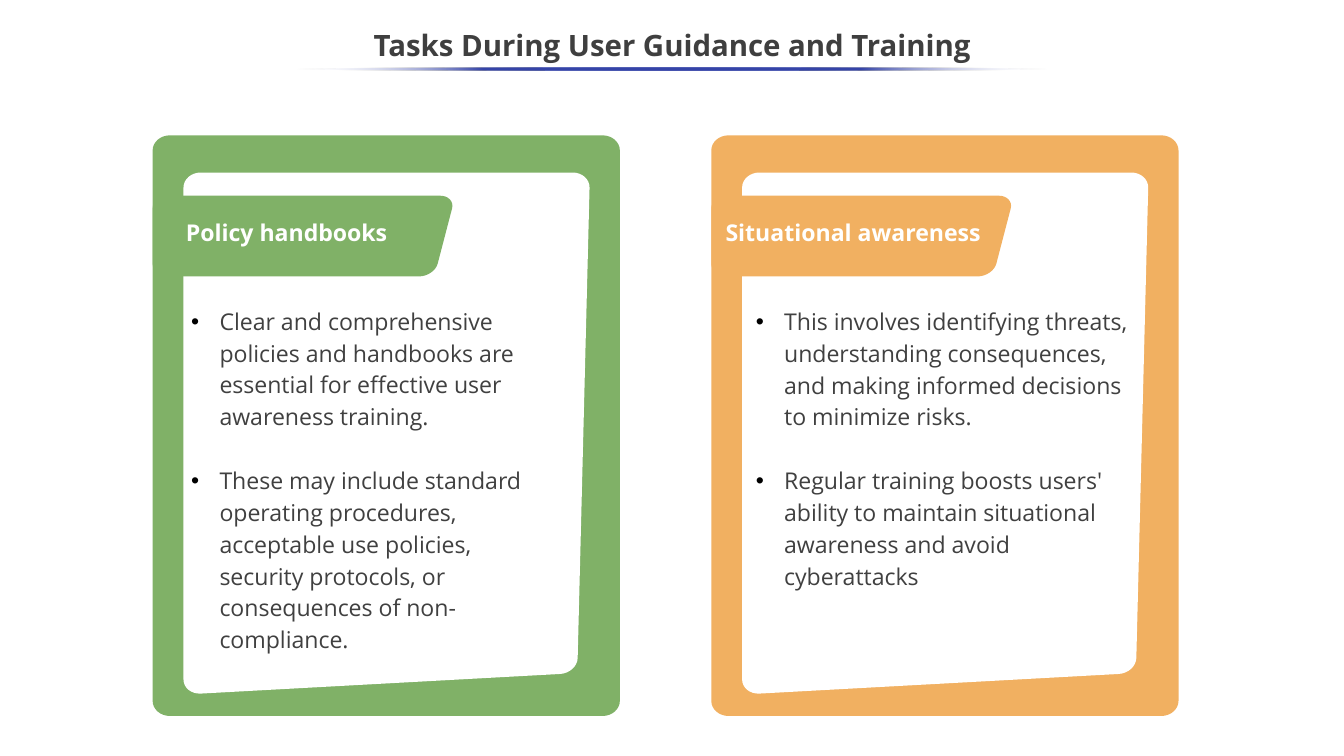
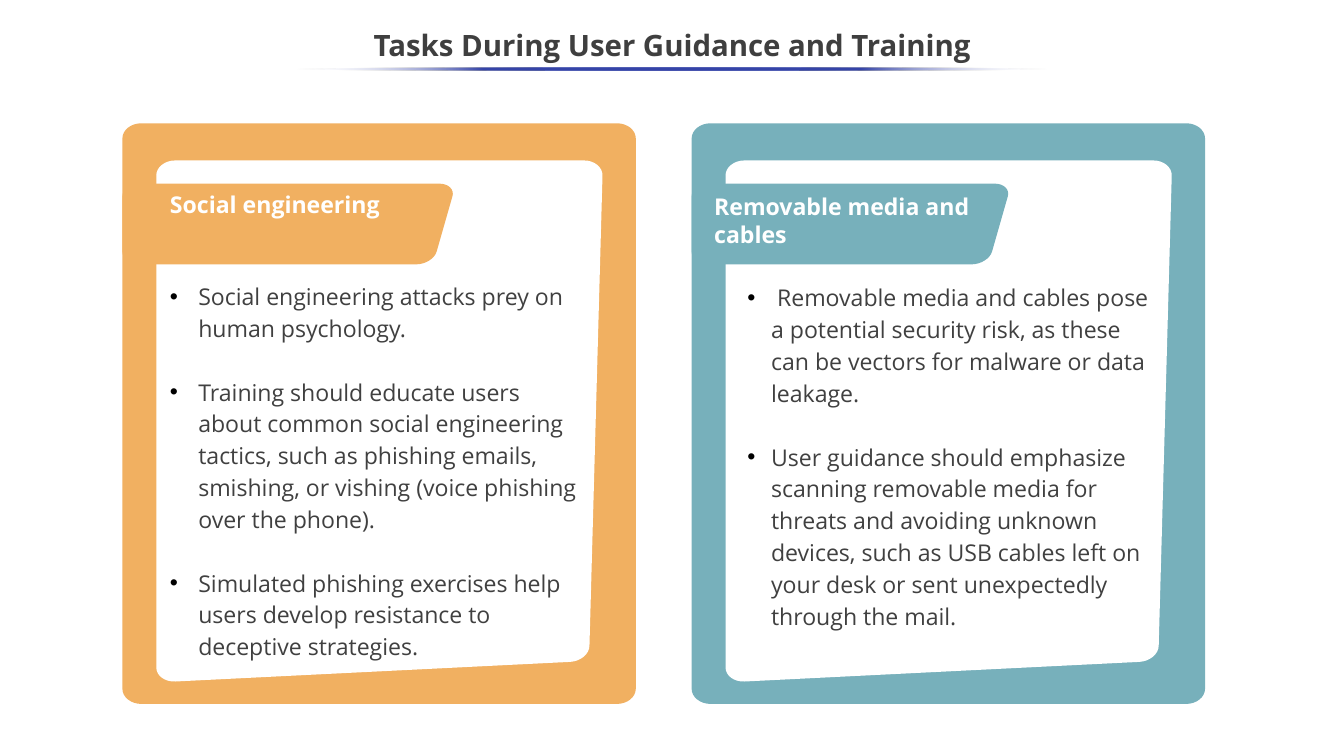
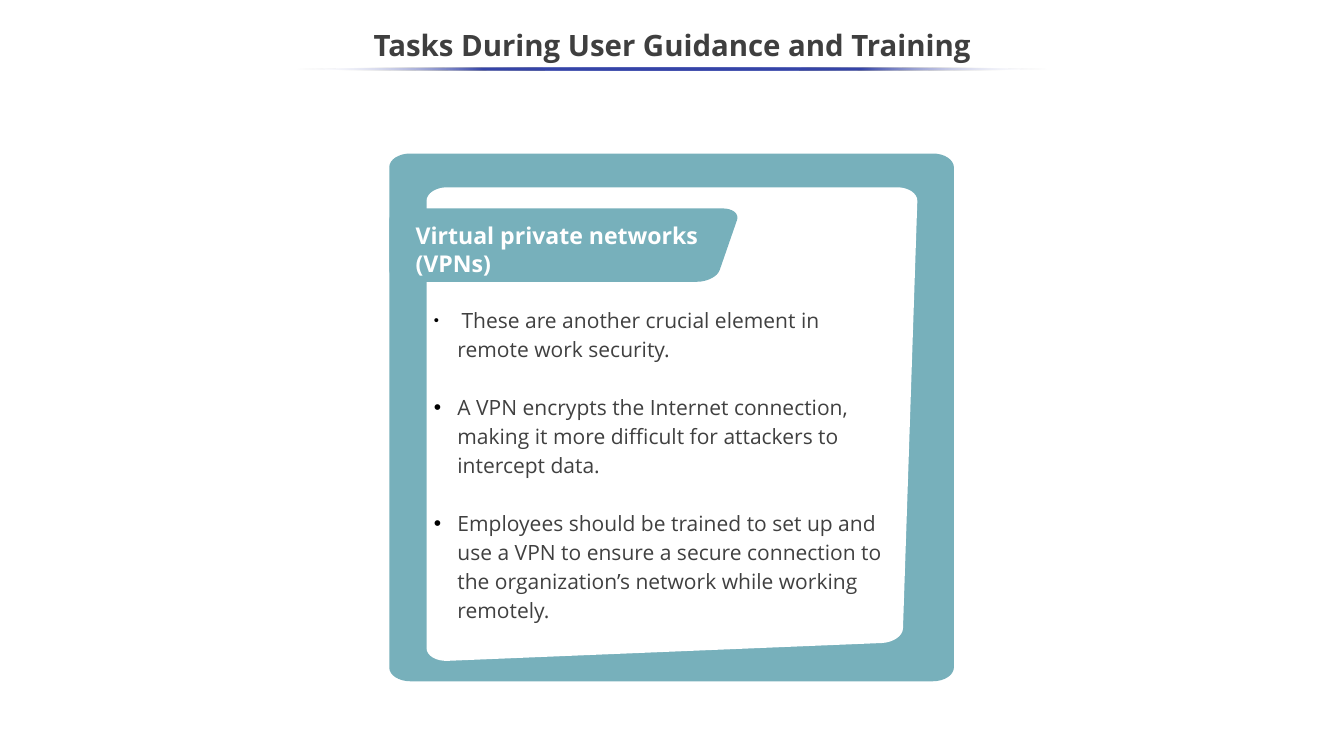
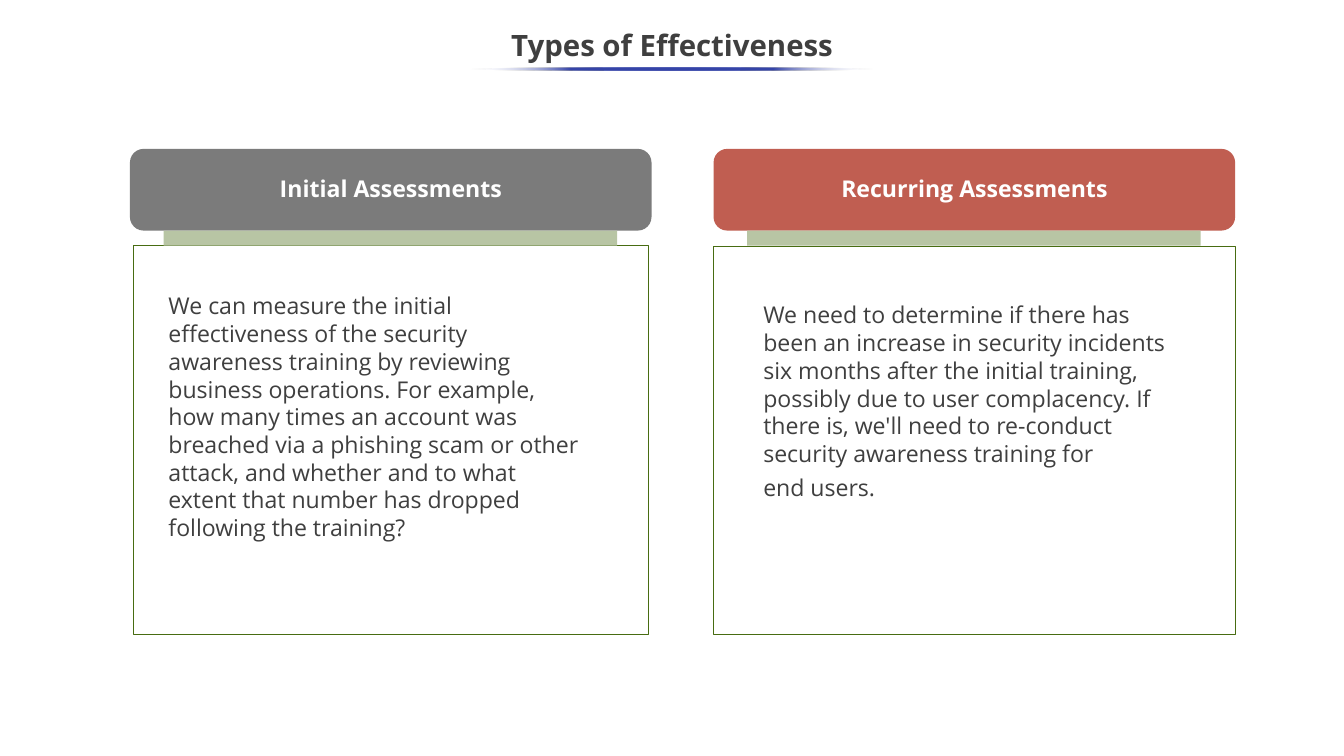
from dataclasses import dataclass

from pptx import Presentation
from pptx import util as u
from pptx.dml.color import RGBColor
from pptx.enum import shapes, text
from pptx.oxml import parse_xml
from pptx.oxml.ns import nsdecls


@dataclass(frozen=True)
class Theme:
    font: str = "Open Sans"
    bullet_font: str = "Arial"
    title_size: int = 28
    size: int = 22
    small_size: int = 20
    lead_size: int = 14
    title: str = "3F3F3F"
    ink: str = "404040"
    black: str = "000000"
    white: str = "FFFFFF"
    rule: str = "3645A9"
    green: str = "80B167"
    orange: str = "F1B061"
    teal: str = "77B0BB"
    grey: str = "7B7B7B"
    red: str = "C05E51"
    sage: str = "B8C5A4"
    border: str = "486C12"


theme = Theme()
Pt = u.Pt
rgb = RGBColor.from_string
WIDTH, HEIGHT = 1280.16, 720


def write(slide, box, paragraphs, size, colour, bold=False, centred=False,
          middle=False, indent=0, spacing=None, gap=0, inset=3.6):
    frame = slide.shapes.add_textbox(*map(Pt, box)).text_frame
    frame.word_wrap = True
    frame.margin_top = frame.margin_bottom = Pt(inset)
    if middle:
        frame.vertical_anchor = text.MSO_ANCHOR.MIDDLE
    for number, runs in enumerate(paragraphs):
        paragraph = frame.add_paragraph() if number else frame.paragraphs[0]
        if indent:
            properties = paragraph._p.get_or_add_pPr()
            properties.set("marL", str(Pt(indent)))
            properties.set("indent", str(-Pt(indent)))
            for bullet in (f'<a:buClr {nsdecls("a")}><a:srgbClr val="{theme.black}"/></a:buClr>',
                           f'<a:buFont {nsdecls("a")} typeface="{theme.bullet_font}"/>',
                           f'<a:buChar {nsdecls("a")} char="•"/>'):
                properties.append(parse_xml(bullet))
        if centred:
            paragraph.alignment = text.PP_ALIGN.CENTER
        if spacing:
            paragraph.line_spacing = spacing
        if number:
            paragraph.space_before = Pt(gap)
        for words in runs:
            run = paragraph.add_run()
            run.text = words
            run.font.name = theme.font
            run.font.size = Pt(size)
            run.font.bold = bold
            run.font.color.rgb = rgb(colour)
    return frame


def add_rounded(slide, frame, corners, radius, colour):
    left, top, width, height = frame
    points = []
    for i, (x, y) in enumerate(corners):
        ends = []
        for nx, ny in (corners[i - 1], corners[(i + 1) % len(corners)]):
            dx, dy = nx - x, ny - y
            reach = max(abs(dx) / radius[0], abs(dy) / radius[1])
            ends.append((dx / reach, dy / reach))
        (ax, ay), (bx, by) = ends
        for step in range(9):
            t = step / 8
            a = (1 - t) ** 3 + 1.35 * t * (1 - t) ** 2
            b = t ** 3 + 1.35 * t ** 2 * (1 - t)
            points.append((Pt(left + width * (x + a * ax + b * bx)),
                           Pt(top + height * (y + a * ay + b * by))))
    builder = slide.shapes.build_freeform(*points[0], scale=1.0)
    builder.add_line_segments(points[1:], close=True)
    outline = builder.convert_to_shape()
    outline.shadow.inherit = False
    outline.fill.solid()
    outline.fill.fore_color.rgb = rgb(colour)
    outline.line.fill.background()


prs = Presentation()
prs.slide_width, prs.slide_height = Pt(WIDTH), Pt(HEIGHT)

tasks = "Tasks During User Guidance and Training"
pages = []
for title, rule_width in [(tasks, 716.4)] * 3 + [("Types of Effectiveness", 383.8)]:
    page = prs.slides.add_slide(prs.slide_layouts[6])
    pages.append(page)
    write(page, (0, 18, WIDTH, 54), [[title]], theme.title_size, theme.title,
          bold=True, centred=True, middle=True, spacing=0.9)
    rule = page.shapes.add_shape(
        shapes.MSO_SHAPE.OVAL, Pt((WIDTH - rule_width) / 2), Pt(64.1), Pt(rule_width), Pt(2.9))
    rule.shadow.inherit = False
    rule.line.fill.background()
    clear = f'<a:srgbClr val="{theme.white}"><a:alpha val="0"/></a:srgbClr>'
    solid = f'<a:srgbClr val="{theme.rule}"/>'
    stops = "".join(f'<a:gs pos="{place * 1000}">{tint}</a:gs>' for place, tint in
                    [(0, clear), (25, solid), (50, solid), (75, solid), (100, clear)])
    rule._element.spPr.insert(2, parse_xml(
        f'<a:gradFill {nsdecls("a")}><a:gsLst>{stops}</a:gsLst>'
        '<a:lin ang="10800000" scaled="0"/></a:gradFill>'))

cards = [
    (0, (145.4, 128.9, 445, 553), theme.green, 0.648,
     "Policy handbooks", (169.9, 204.5, 265, 67),
     (175, 285.1, 364.3, 343), 27, theme.size,
     [["Clear and comprehensive policies and handbooks are essential for effective user "
       "awareness training."],
      ["These may include standard operating procedures, acceptable use policies, security "
       "protocols, or consequences of non-compliance."]]),
    (0, (677.5, 128.9, 445, 553), theme.orange, 0.648,
     "Situational awareness", (684, 204.5, 283, 67),
     (712.8, 285.1, 372.2, 312), 27, theme.size,
     [["This involves identifying threats, understanding consequences, and making informed "
       "decisions to minimize risks."],
      ["Regular training boosts users' ability to maintain situational awareness and avoid "
       "cyberattacks"]]),
    (1, (116.6, 117.4, 489, 553), theme.orange, 0.65,
     "Social engineering", (154.8, 177.8, 311, 67),
     (154.8, 261.4, 409.7, 373), 27, theme.size,
     [["Social engineering attacks prey on human psychology."],
      ["Training should educate users about common social engineering tactics, such as "
       "phishing emails, smishing, or vishing (voice phishing over the phone)."],
      ["Simulated phishing exercises help users develop resistance to deceptive strategies."]]),
    (1, (658.8, 117.4, 489, 553), theme.teal, 0.623,
     "Removable media and cables", (673.2, 180, 319, 67),
     (704.9, 262.8, 397.4, 343), 22.5, theme.size,
     [[" Removable media and cables pose a potential security risk, as these can be vectors "
       "for malware or data leakage."],
      ["User guidance should emphasize scanning removable media for threats and avoiding "
       "unknown devices, such as USB cables left on your desk or sent unexpectedly "
       "through the mail."]]),
    (2, (370.8, 146.2, 537.8, 502.6), theme.teal, 0.623,
     "Virtual private networks (VPNs)", (388.8, 207.4, 296.6, 60.5),
     (406.1, 285.8, 452.9, 312), 22.5, theme.small_size,
     [[" ", "These are another crucial element in remote work security."],
      ["A VPN encrypts the Internet connection, making it more difficult for attackers to "
       "intercept data."],
      ["Employees should be trained to set up and use a VPN to ensure a secure connection to "
       "the organization’s network while working remotely."]]),
]
border_corners = [(0, 0), (1, 0), (1, 1), (0, 1)]
paper_corners = [(0.066, 0.064), (0.936, 0.064), (0.909, 0.926), (0.066, 0.963)]
for number, frame, colour, tab, heading, heading_box, body_box, indent, size, points in cards:
    page = pages[number]
    tab_corners = [(0, 0.104), (tab, 0.104), (tab - 0.045, 0.243), (0, 0.243)]
    add_rounded(page, frame, border_corners, (0.037, 0.026), colour)
    add_rounded(page, frame, paper_corners, (0.037, 0.026), theme.white)
    add_rounded(page, frame, tab_corners, (0.033, 0.022), colour)
    write(page, heading_box, [[heading]], theme.size, theme.white, bold=True)
    advice = write(page, body_box, points, size, theme.ink, indent=indent,
                   spacing=1.15, gap=size * 1.38)

lead = advice.paragraphs[0].runs[0].font
lead.name, lead.size = theme.bullet_font, Pt(theme.lead_size)
lead.color.rgb = rgb(theme.black)

assessments = [
    (123.8, theme.grey, "Initial Assessments", (127.4, 234, 490.3, 370), 0.75,
     (153.4, 277.9, 408.2, 239.8), 0,
     [["We can measure the initial effectiveness of the security awareness training by "
       "reviewing business operations. For example, how many times an account was breached "
       "via a phishing scam or other attack, and whether and to what extent that number has "
       "dropped following the training?"]]),
    (679.7, theme.red, "Recurring Assessments", (679.7, 234.7, 496.8, 370), 1,
     (720, 283, 405.4, 200), 3.6,
     [["We need to determine if there has been an increase in security incidents six months "
       "after the initial training, possibly due to user complacency. If there is, we'll need "
       "to re-conduct security awareness training for"],
      ["end users."]]),
]
for left, colour, heading, panel, border_width, body_box, inset, body in assessments:
    header = (left, 141.8, 496.8, 77.8)
    strip = (left + 32, 219.6, 432, 14.4)
    for preset, box, fill, border in [
            (shapes.MSO_SHAPE.RECTANGLE, panel, theme.white, border_width),
            (shapes.MSO_SHAPE.ROUNDED_RECTANGLE, header, colour, 0),
            (shapes.MSO_SHAPE.RECTANGLE, strip, theme.sage, 0)]:
        part = pages[3].shapes.add_shape(preset, *map(Pt, box))
        part.shadow.inherit = False
        part.fill.solid()
        part.fill.fore_color.rgb = rgb(fill)
        if border:
            part.line.color.rgb = rgb(theme.border)
            part.line.width = Pt(border)
        else:
            part.line.fill.background()
    write(pages[3], (left + 113, 162.7, 270.8, 33.8), [[heading]], theme.size, theme.white,
          bold=True, centred=True)
    write(pages[3], body_box, body, theme.size, theme.title, gap=6, inset=inset)

prs.save("out.pptx")
